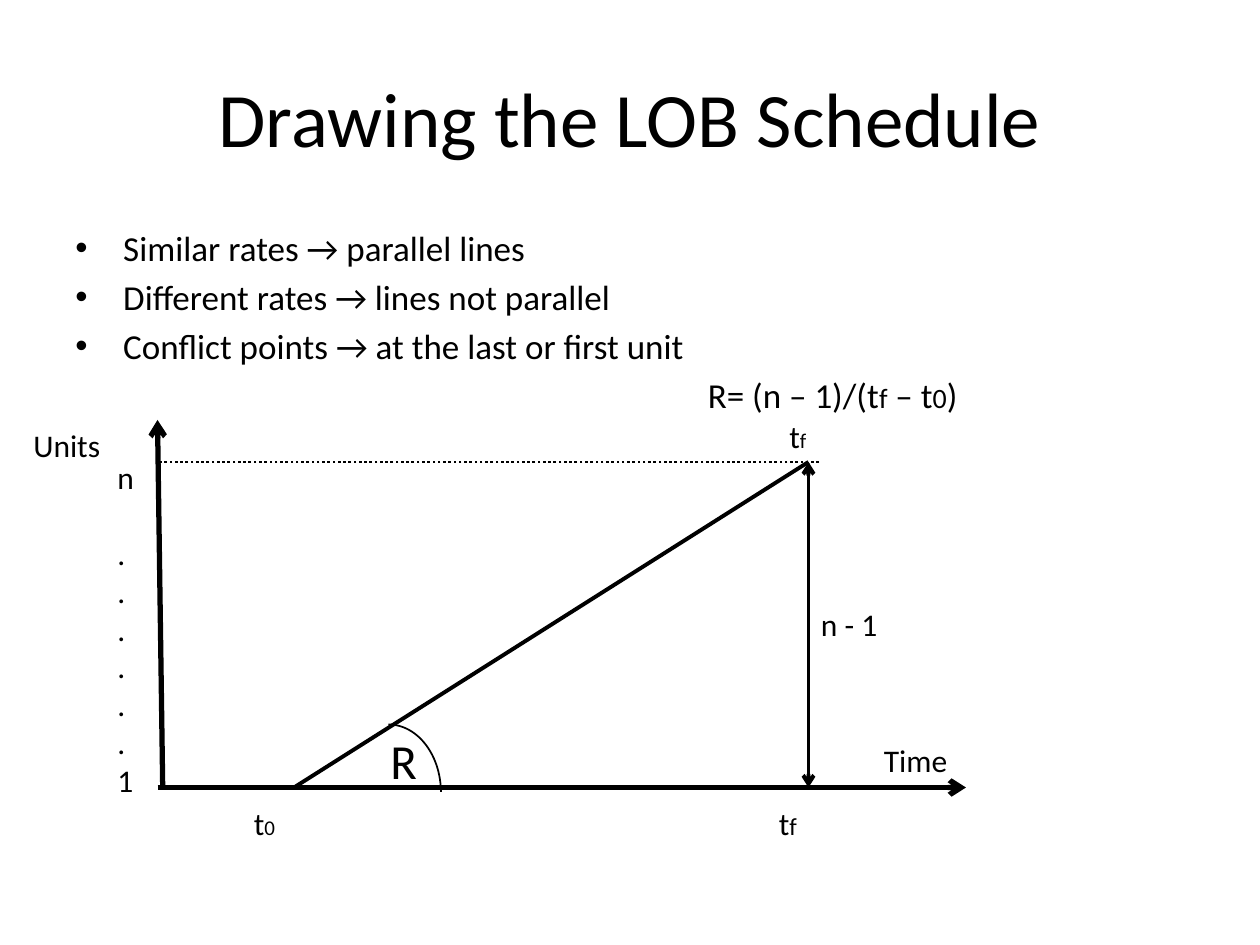
from lxml import etree
from pptx import Presentation
from pptx import util as u
from pptx.dml.color import RGBColor
from pptx.enum import dml, shapes, text
from pptx.oxml.ns import qn

COLORS = {"ink": "000000", "paper": "FFFFFF"}
FONT = "Calibri"
CELL = u.Inches(10) // 120
BULLETS = [
    "Similar rates → parallel lines",
    "Different rates → lines not parallel",
    "Conflict points → at the last or first unit",
]
FORMULA = [("R= (n – 1)/(t", 20), ("f", 16), (" – t", 20), ("0", 16), (")", 20)]


def rgb(name):
    """Return a palette colour."""
    return RGBColor.from_string(COLORS[name])


def cells(*counts):
    """Turn counts of grid cells into lengths."""
    return [round(n * CELL) for n in counts]


def add_runs(p, runs):
    """Add (wording, size) runs to a paragraph."""
    for wording, size in runs:
        r = p.add_run()
        r.text = wording
        r.font.name, r.font.size = FONT, u.Pt(size)
        r.font.color.rgb = rgb("ink")


def add_text(slide, box, paragraphs):
    """Add a wrapping text box holding one list of runs per paragraph."""
    tf = slide.shapes.add_textbox(*cells(*box)).text_frame
    tf.word_wrap = True
    for i, runs in enumerate(paragraphs):
        add_runs(tf.add_paragraph() if i else tf.paragraphs[0], runs)
    return tf


def add_line(slide, start, end, width, arrows=(), dash=None):
    """Add a straight line with arrowheads at the named ends."""
    sp = slide.shapes.add_connector(
        shapes.MSO_CONNECTOR.STRAIGHT, *cells(*start, *end))
    sp.line.color.rgb, sp.line.width = rgb("ink"), u.Pt(width)
    if dash:
        sp.line.dash_style = dash
    ln = sp.line._get_or_add_ln()
    for name in arrows:
        etree.SubElement(ln, qn(f"a:{name}"), type="arrow")
    etree.SubElement(sp._element.spPr, qn("a:effectLst"))


def add_title(slide, box):
    """Place and format the title."""
    sp = slide.shapes.title
    sp.left, sp.top, sp.width, sp.height = cells(*box)
    tf = sp.text_frame
    tf.vertical_anchor = text.MSO_ANCHOR.MIDDLE
    p = tf.paragraphs[0]
    p.alignment = text.PP_ALIGN.CENTER
    add_runs(p, [("Drawing the LOB Schedule", 44)])


def add_body(slide, box):
    """Add the bullets and the indented rate formula."""
    tf = add_text(slide, box, [[(b, 20)] for b in BULLETS] + [FORMULA])
    for i, p in enumerate(tf.paragraphs):
        p.space_before = u.Pt(4 if i else 0)
        pPr = p._p.get_or_add_pPr()
        if i < len(BULLETS):
            pPr.set("marL", str(u.Inches(0.38)))
            pPr.set("indent", str(-u.Inches(0.38)))
            etree.SubElement(pPr, qn("a:buFont"), typeface="Arial")
            etree.SubElement(pPr, qn("a:buChar"), char="•")
        else:
            pPr.set("marL", str(u.Inches(5.02)))


def add_diagram(slide, box):
    """Draw the units against time diagram inside the box."""
    x, y, w, h = box
    top, bottom, start, finish = y + 4, y + h, x + 13, x + 62

    add_line(slide, (x, bottom), (x + w, bottom), 3, ["tailEnd"])
    add_line(slide, (x + 0.5, bottom), (x, y), 3, ["tailEnd"])
    add_line(slide, (finish + 1, top), (x, top), 1.5,
             dash=dml.MSO_LINE.ROUND_DOT)
    add_line(slide, (finish, top), (finish, bottom), 2.25,
             ["headEnd", "tailEnd"])
    add_line(slide, (finish, top), (start, bottom), 2.25)

    labels = [
        (68, 30, 17, [("Time", 18)]),
        (-13, 0, 17, [("Units", 18)]),
        (62, 17, 20, [("n - 1", 18)]),
        (8, 36, 9, [("t", 18), ("0", 12)]),
        (58, 36, 9, [("t", 18), ("f", 14)]),
        (59, -0.9, 9, [("t", 18), ("f", 12)]),
        (21, 29, 5, [("R", 28)]),
    ]
    for dx, dy, width, runs in labels:
        add_text(slide, (x + dx, y + dy, width, 4.8), [runs])

    scale = add_text(slide, (x - 5, y + 3, 5, 34),
                     [[(mark, 18)] for mark in "n......1"])
    scale.paragraphs[1].space_before = u.Pt(22)

    arc = slide.shapes.add_shape(
        shapes.MSO_SHAPE.ARC, *cells(x + 17, y + 29, 10, 13))
    arc.adjustments[0], arc.adjustments[1] = 162, 215.5
    arc.shadow.inherit = False
    arc.fill.background()
    arc.line.color.rgb, arc.line.width = rgb("ink"), u.Pt(1)


def main():
    """Build and save the slide."""
    prs = Presentation()
    prs.slide_width, prs.slide_height = u.Inches(10), u.Inches(7.5)
    slide = prs.slides.add_slide(prs.slide_layouts[5])
    slide.background.fill.solid()
    slide.background.fill.fore_color.rgb = rgb("paper")
    add_title(slide, (6, 3.6, 108, 15))
    add_body(slide, (6, 21, 108, 13))
    add_diagram(slide, (15, 40, 77, 35))
    prs.save("out.pptx")


if __name__ == "__main__":
    main()
